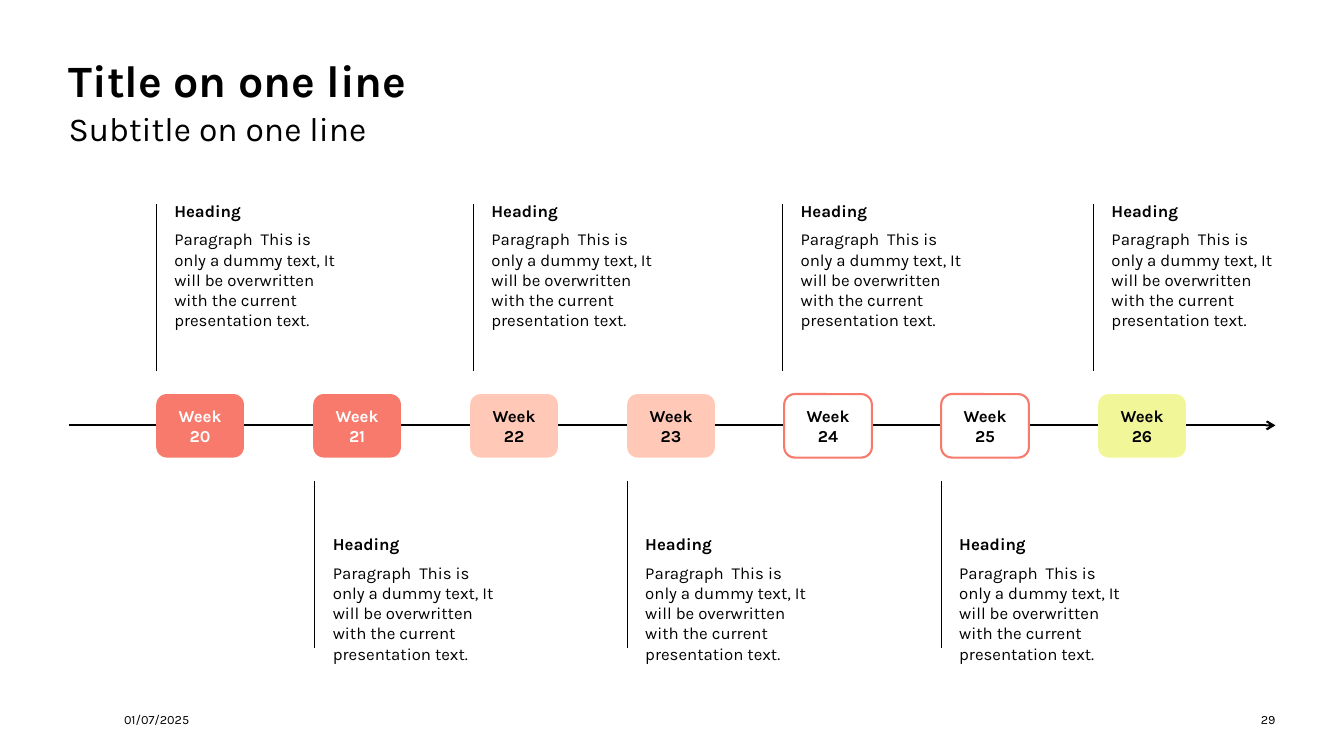
"""Build a weekly timeline slide with alternating notes above and below."""
from dataclasses import dataclass

from lxml import etree
from pptx import Presentation
from pptx.dml.color import RGBColor
from pptx.enum.shapes import MSO_CONNECTOR, MSO_SHAPE
from pptx.enum.text import MSO_ANCHOR, MSO_AUTO_SIZE, PP_ALIGN
from pptx.oxml.ns import qn
from pptx.shapes.connector import Connector
from pptx.slide import Slide
from pptx.text.text import TextFrame
from pptx.util import Inches, Pt

LEFT, CENTER, RIGHT = PP_ALIGN.LEFT, PP_ALIGN.CENTER, PP_ALIGN.RIGHT
TOP, MIDDLE = MSO_ANCHOR.TOP, MSO_ANCHOR.MIDDLE
GROW = MSO_AUTO_SIZE.SHAPE_TO_FIT_TEXT
STRAIGHT = MSO_CONNECTOR.STRAIGHT
ROUNDED = MSO_SHAPE.ROUNDED_RECTANGLE


@dataclass(frozen=True)
class Theme:
    """Colours, font and type sizes."""
    font: str = "Karla"
    black: str = "000000"
    white: str = "FFFFFF"
    coral: str = "F77A6C"
    peach: str = "FFC8B7"
    lime: str = "F1F699"
    title: int = 32
    subtitle: int = 24
    body: int = 12
    footer: int = 9


@dataclass(frozen=True)
class Label:
    """A single line of text in a box without margins."""
    text: str
    x: float
    y: float
    w: float
    h: float
    size: int
    bold: bool = False
    align: PP_ALIGN = LEFT
    anchor: MSO_ANCHOR = TOP


@dataclass(frozen=True)
class Week:
    """A week marker on the timeline."""
    number: int
    fill: str
    color: str
    outlined: bool = False


@dataclass(frozen=True)
class NoteRow:
    """Notes sharing one row, placed by timeline column."""
    columns: tuple[float, ...]
    rule_y: float
    text_y: float


T = Theme()
SLIDE_W, SLIDE_H = 13.33, 7.5
MARGIN, CONTENT_W = 0.68, 11.97
END = MARGIN + CONTENT_W
FIRST_X, PITCH = 1.55, 1.557
WEEK_Y, WEEK_W, WEEK_H = 3.91, 0.87, 0.63
AXIS_Y = 4.22
RULE_H = 1.66
NOTE_GAP, NOTE_W, NOTE_H = 0.08, 1.89, 1.4
FOOTER_Y, FOOTER_H = 7.04, 0.2

HEADING = "Heading"
BODY = ("Paragraph  This is only a dummy text, It will be overwritten "
        "with the current presentation text.")

LABELS = (
    Label("Title on one line", MARGIN, 0.52, CONTENT_W, 1.1, T.title, True),
    Label("Subtitle on one line", MARGIN, 1.07, CONTENT_W, 0.55, T.subtitle),
    Label("01/07/2025", 1.23, FOOTER_Y, 2.91, FOOTER_H, T.footer,
          anchor=MIDDLE),
    Label("29", END - 0.55, FOOTER_Y, 0.55, FOOTER_H, T.footer,
          align=RIGHT, anchor=MIDDLE),
)
WEEKS = (
    Week(20, T.coral, T.white),
    Week(21, T.coral, T.white),
    Week(22, T.peach, T.black),
    Week(23, T.peach, T.black),
    Week(24, T.white, T.black, True),
    Week(25, T.white, T.black, True),
    Week(26, T.lime, T.black),
)
NOTE_ROWS = (
    NoteRow((0, 2.02, 3.99, 5.97), 2.02, 1.94),
    NoteRow((1.01, 3, 5), 4.77, 5.25),
)


def column_x(column: float) -> float:
    """Return the left edge of a timeline column."""
    return FIRST_X + column * PITCH


def write(tf: TextFrame, lines: tuple[tuple[str, bool], ...], size: int,
          color: str = T.black, align: PP_ALIGN = LEFT,
          after: int = 0) -> None:
    """Fill a text frame with one paragraph per (text, bold) pair."""
    tf.word_wrap = True
    for i, (text, bold) in enumerate(lines):
        p = tf.add_paragraph() if i else tf.paragraphs[0]
        p.text = text
        p.alignment = align
        p.space_after = Pt(after)
        p.font.name = T.font
        p.font.size = Pt(size)
        p.font.bold = bold
        p.font.color.rgb = RGBColor.from_string(color)


def set_margins(tf: TextFrame, x: float, y: float) -> None:
    """Set the horizontal and vertical margins of a text frame."""
    tf.margin_left = tf.margin_right = Inches(x)
    tf.margin_top = tf.margin_bottom = Inches(y)


def add_label(s: Slide, label: Label) -> None:
    """Draw a title or footer label."""
    sp = s.shapes.add_textbox(Inches(label.x), Inches(label.y),
                              Inches(label.w), Inches(label.h))
    tf = sp.text_frame
    set_margins(tf, 0, 0)
    tf.vertical_anchor = label.anchor
    write(tf, ((label.text, label.bold),), label.size, align=label.align)


def add_line(s: Slide, x1: float, y1: float, x2: float, y2: float,
             width: float) -> Connector:
    """Draw a straight black line without a shadow."""
    line = s.shapes.add_connector(STRAIGHT, Inches(x1), Inches(y1),
                                  Inches(x2), Inches(y2))
    line.line.width = Pt(width)
    line.line.color.rgb = RGBColor.from_string(T.black)
    etree.SubElement(line._element.spPr, qn("a:effectLst"))
    return line


def add_axis(s: Slide) -> None:
    """Draw the timeline arrow."""
    axis = add_line(s, MARGIN, AXIS_Y, END, AXIS_Y, 1.5)
    ln = axis._element.spPr.find(qn("a:ln"))
    etree.SubElement(ln, qn("a:tailEnd"), type="arrow")


def add_week(s: Slide, column: int, week: Week) -> None:
    """Draw a rounded week marker."""
    sp = s.shapes.add_shape(ROUNDED, Inches(column_x(column)), Inches(WEEK_Y),
                            Inches(WEEK_W), Inches(WEEK_H))
    sp.shadow.inherit = False
    sp.fill.solid()
    sp.fill.fore_color.rgb = RGBColor.from_string(week.fill)
    if week.outlined:
        sp.line.width = Pt(1.5)
        sp.line.color.rgb = RGBColor.from_string(T.coral)
    else:
        sp.line.fill.background()
    tf = sp.text_frame
    set_margins(tf, 0.12, 0.08)
    tf.vertical_anchor = MIDDLE
    write(tf, ((f"Week {week.number}", True),), T.body, week.color, CENTER)


def add_note(s: Slide, column: float, row: NoteRow) -> None:
    """Draw a vertical rule with its heading and paragraph."""
    x = column_x(column)
    add_line(s, x, row.rule_y, x, row.rule_y + RULE_H, 0.5)
    sp = s.shapes.add_textbox(Inches(x + NOTE_GAP), Inches(row.text_y),
                              Inches(NOTE_W), Inches(NOTE_H))
    tf = sp.text_frame
    tf.auto_size = GROW
    write(tf, ((HEADING, True), (BODY, False)), T.body, after=6)


def main() -> None:
    """Assemble and save the slide."""
    prs = Presentation()
    prs.slide_width, prs.slide_height = Inches(SLIDE_W), Inches(SLIDE_H)
    s = prs.slides.add_slide(prs.slide_layouts[6])
    for label in LABELS:
        add_label(s, label)
    add_axis(s)
    for column, week in enumerate(WEEKS):
        add_week(s, column, week)
    for row in NOTE_ROWS:
        for column in row.columns:
            add_note(s, column, row)
    prs.save("out.pptx")


if __name__ == "__main__":
    main()
